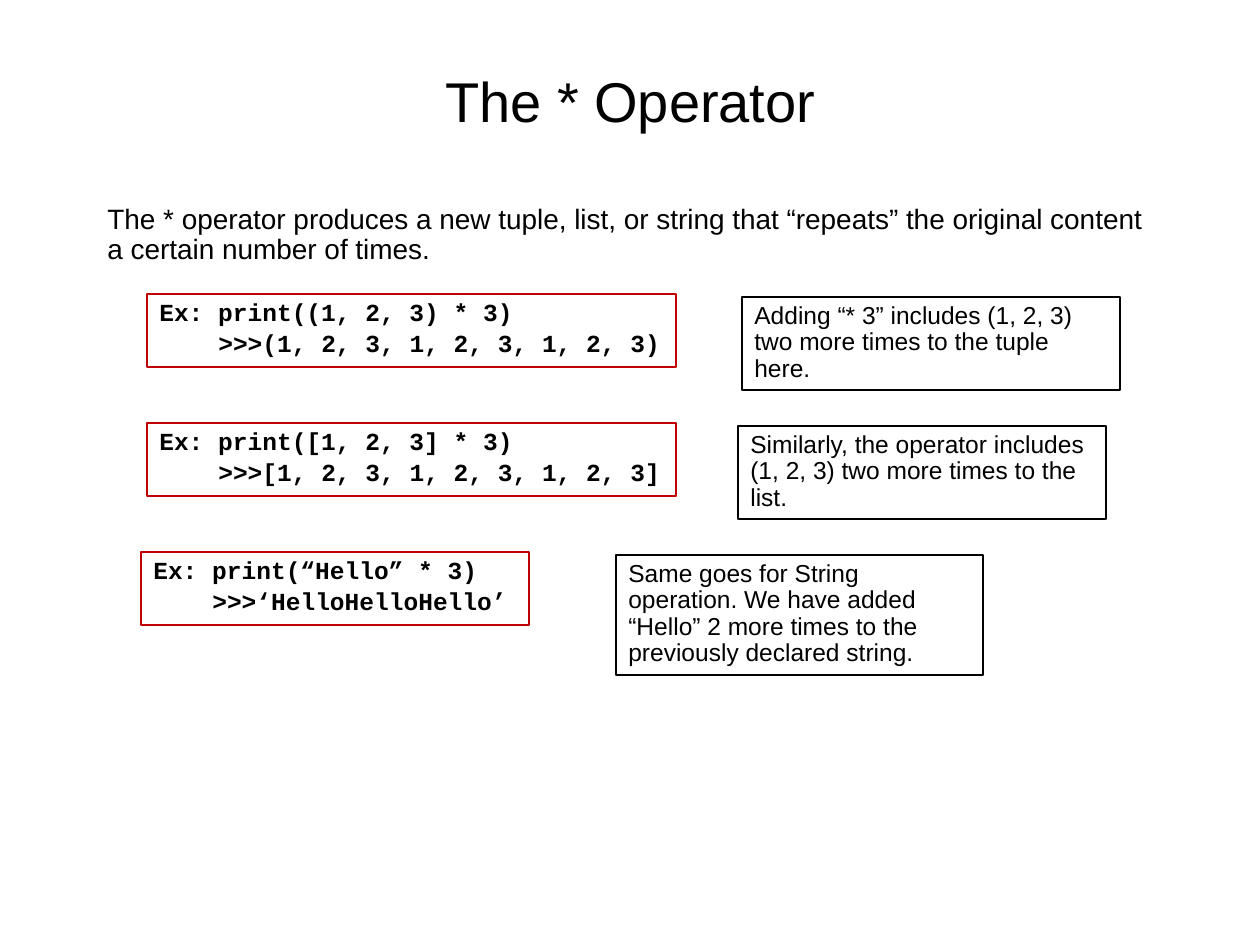
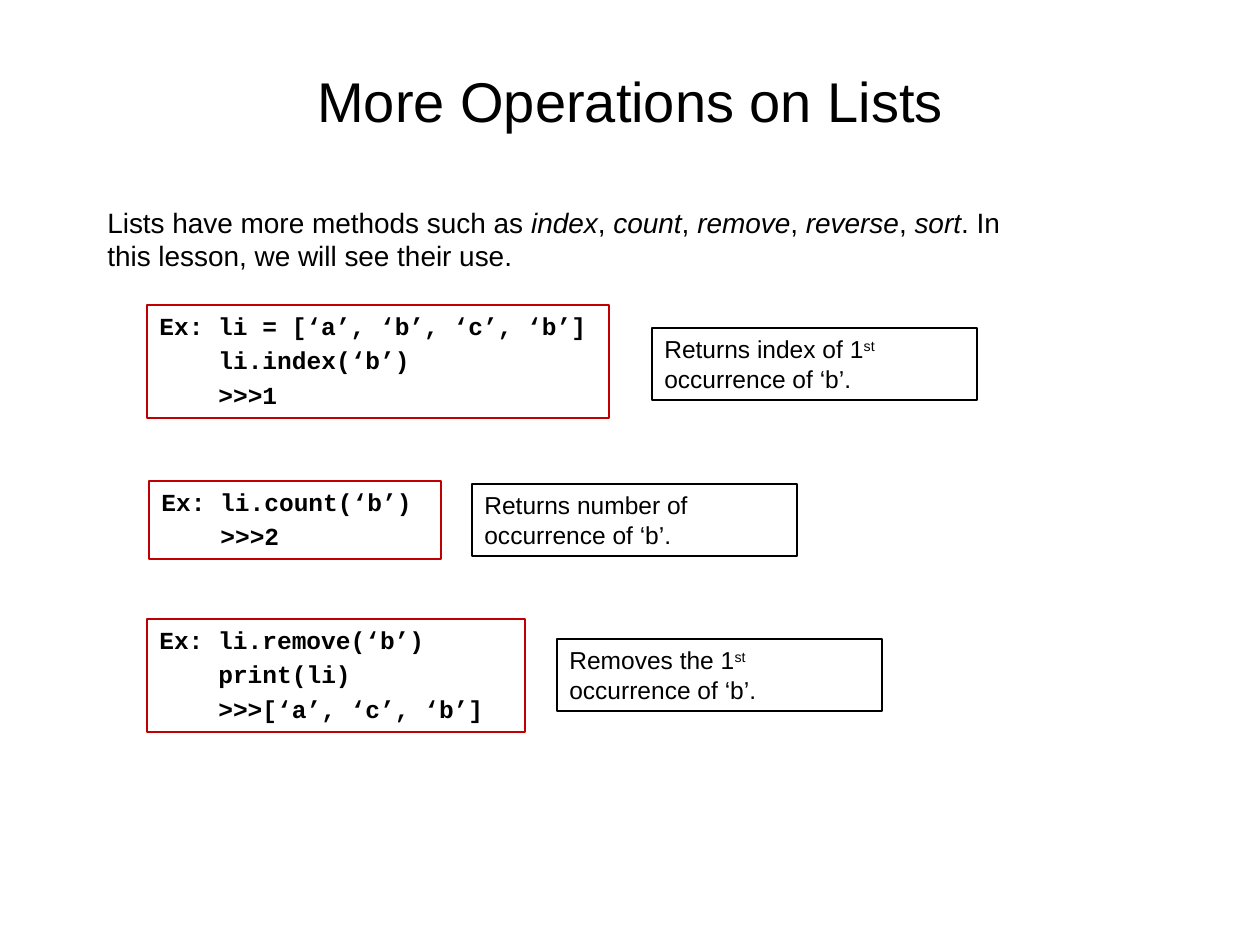
from dataclasses import dataclass

from pptx import Presentation
from pptx.dml.color import RGBColor
from pptx.enum import shapes, text
from pptx.util import Emu, Pt

# Shared style
EMU_PER_PX = 914400 / 126
BLACK, RED, WHITE = "000000", "C00000", "FFFFFF"
SANS, MONO = "Arial", "Courier New"
TITLE_SIZE, INTRO_SIZE, BOX_SIZE = 32, 16, 14
SPACE_BEFORE = 0.2  # share of the text size
CODE_INDENT = 59  # four characters of code, the width of "Ex: "
TITLE_AREA = (95, 21, 1071, 158)
INTRO_LEFT, INTRO_TOP, INTRO_HEIGHT = 95, 199, 640

Area = tuple[int, int, int, int]
Pieces = tuple[str, ...]  # plain and marked text in turn


@dataclass
class Example:
    code_area: Area
    code: Pieces  # one line each
    note_area: Area
    note: Pieces  # every second piece is superscript


@dataclass
class Lesson:
    title: str
    intro: Pieces  # every second piece is italic
    intro_width: int
    line_spacing: float
    examples: list[Example]


def px(length: float) -> Emu:
    return Emu(round(length * EMU_PER_PX))


def color(value: str) -> RGBColor:
    return RGBColor.from_string(value)


def place(shape, area: Area) -> None:
    shape.left, shape.top, shape.width, shape.height = map(px, area)


def style_run(run, font: str, size: int, bold: bool = False) -> None:
    run.font.name = font
    run.font.size = Pt(size)
    run.font.bold = bold
    run.font.color.rgb = color(BLACK)


def add_pieces(paragraph, pieces: Pieces, size: int) -> list:
    """Write the pieces as runs and return the marked ones."""
    for piece in pieces:
        run = paragraph.add_run()
        run.text = piece
        style_run(run, SANS, size)
    return list(paragraph.runs[1::2])


def add_title(slide, words: str) -> None:
    title = slide.shapes.title
    place(title, TITLE_AREA)
    frame = title.text_frame
    frame.text = words
    frame.auto_size = text.MSO_AUTO_SIZE.NONE
    frame.vertical_anchor = text.MSO_ANCHOR.MIDDLE
    frame.paragraphs[0].alignment = text.PP_ALIGN.CENTER
    style_run(frame.paragraphs[0].runs[0], SANS, TITLE_SIZE)


def add_intro(slide, lesson: Lesson) -> None:
    intro = slide.shapes.add_textbox(
        *map(px, (INTRO_LEFT, INTRO_TOP, lesson.intro_width, INTRO_HEIGHT)))
    intro.text_frame.word_wrap = True
    paragraph = intro.text_frame.paragraphs[0]
    paragraph.line_spacing = lesson.line_spacing
    paragraph.space_before = Pt(INTRO_SIZE * SPACE_BEFORE)
    for run in add_pieces(paragraph, lesson.intro, INTRO_SIZE):
        run.font.italic = True


def add_box(slide, area: Area, line: str):
    """Draw an outlined box and return its text frame."""
    box = slide.shapes.add_shape(shapes.MSO_SHAPE.RECTANGLE, *map(px, area))
    box.shadow.inherit = False
    box.fill.background()
    box.line.color.rgb = color(line)
    box.line.width = Pt(0.75)
    frame = box.text_frame
    frame.word_wrap = True
    frame.auto_size = text.MSO_AUTO_SIZE.SHAPE_TO_FIT_TEXT
    frame.vertical_anchor = text.MSO_ANCHOR.TOP
    return frame


def add_note(slide, example: Example, line_spacing: float) -> None:
    paragraph = add_box(slide, example.note_area, BLACK).paragraphs[0]
    paragraph.alignment = text.PP_ALIGN.LEFT
    paragraph.line_spacing = line_spacing
    for run in add_pieces(paragraph, example.note, BOX_SIZE):
        run.font._element.set("baseline", "30000")


def add_code(slide, example: Example, line_spacing: float) -> None:
    frame = add_box(slide, example.code_area, RED)
    frame.text = "\n".join(example.code)
    for number, paragraph in enumerate(frame.paragraphs):
        paragraph.alignment = text.PP_ALIGN.LEFT
        paragraph.line_spacing = line_spacing
        paragraph.space_before = Pt(BOX_SIZE * SPACE_BEFORE)
        style_run(paragraph.runs[0], MONO, BOX_SIZE, bold=True)
        if number:
            properties = paragraph._p.get_or_add_pPr()
            properties.set("marL", str(px(CODE_INDENT)))
            properties.set("indent", "0")


def add_lesson(deck, lesson: Lesson) -> None:
    slide = deck.slides.add_slide(deck.slide_layouts[5])
    slide.background.fill.solid()
    slide.background.fill.fore_color.rgb = color(WHITE)
    add_title(slide, lesson.title)
    add_intro(slide, lesson)
    for example in lesson.examples:
        add_note(slide, example, lesson.line_spacing)
        add_code(slide, example, lesson.line_spacing)


# Content: the examples of the first lesson stand in equal rows
ROW_TOPS = [294 + 129 * row for row in range(3)]
NOTE_DROP = 3

star_operator = Lesson(
    "The * Operator",
    ("The * operator produces a new tuple, list, or string that “repeats” "
     "the original content a certain number of times.",),
    1071, 0.9,
    [
        Example((147, ROW_TOPS[0], 529, 73),
                ("Ex: print((1, 2, 3) * 3)", ">>>(1, 2, 3, 1, 2, 3, 1, 2, 3)"),
                (742, ROW_TOPS[0] + NOTE_DROP, 378, 93),
                ("Adding “* 3” includes (1, 2, 3) two more times to the tuple here.",)),
        Example((147, ROW_TOPS[1], 529, 73),
                ("Ex: print([1, 2, 3] * 3)", ">>>[1, 2, 3, 1, 2, 3, 1, 2, 3]"),
                (738, ROW_TOPS[1] + NOTE_DROP, 368, 93),
                ("Similarly, the operator includes (1, 2, 3) two more times to the list.",)),
        Example((141, ROW_TOPS[2], 388, 73),
                ("Ex: print(“Hello” * 3)", ">>>‘HelloHelloHello’"),
                (616, ROW_TOPS[2] + NOTE_DROP, 367, 120),
                ("Same goes for String operation. We have added “Hello” 2 more "
                 "times to the previously declared string.",)),
    ],
)

NOTE_SIZE = (325, 72)

list_methods = Lesson(
    "More Operations on Lists",
    ("Lists have more methods such as ", "index", ", ", "count", ", ", "remove",
     ", ", "reverse", ", ", "sort", ". In this lesson, we will see their use."),
    942, 1.0,
    [
        Example((147, 305, 462, 113),
                ("Ex: li = [‘a’, ‘b’, ‘c’, ‘b’]", "li.index(‘b’)", ">>>1"),
                (652, 328, *NOTE_SIZE),
                ("Returns index of 1", "st", " occurrence of ‘b’.")),
        Example((149, 481, 292, 78),
                ("Ex: li.count(‘b’)", ">>>2"),
                (472, 484, *NOTE_SIZE),
                ("Returns number of\u00a0 occurrence of ‘b’.",)),
        Example((147, 619, 378, 113),
                ("Ex: li.remove(‘b’)", "print(li)", ">>>[‘a’, ‘c’, ‘b’]"),
                (557, 639, *NOTE_SIZE),
                ("Removes the 1", "st", " occurrence of ‘b’.")),
    ],
)

# Build the slides
deck = Presentation()
deck.slide_width, deck.slide_height = px(1260), px(945)
for lesson in (star_operator, list_methods):
    add_lesson(deck, lesson)
deck.save("out.pptx")
